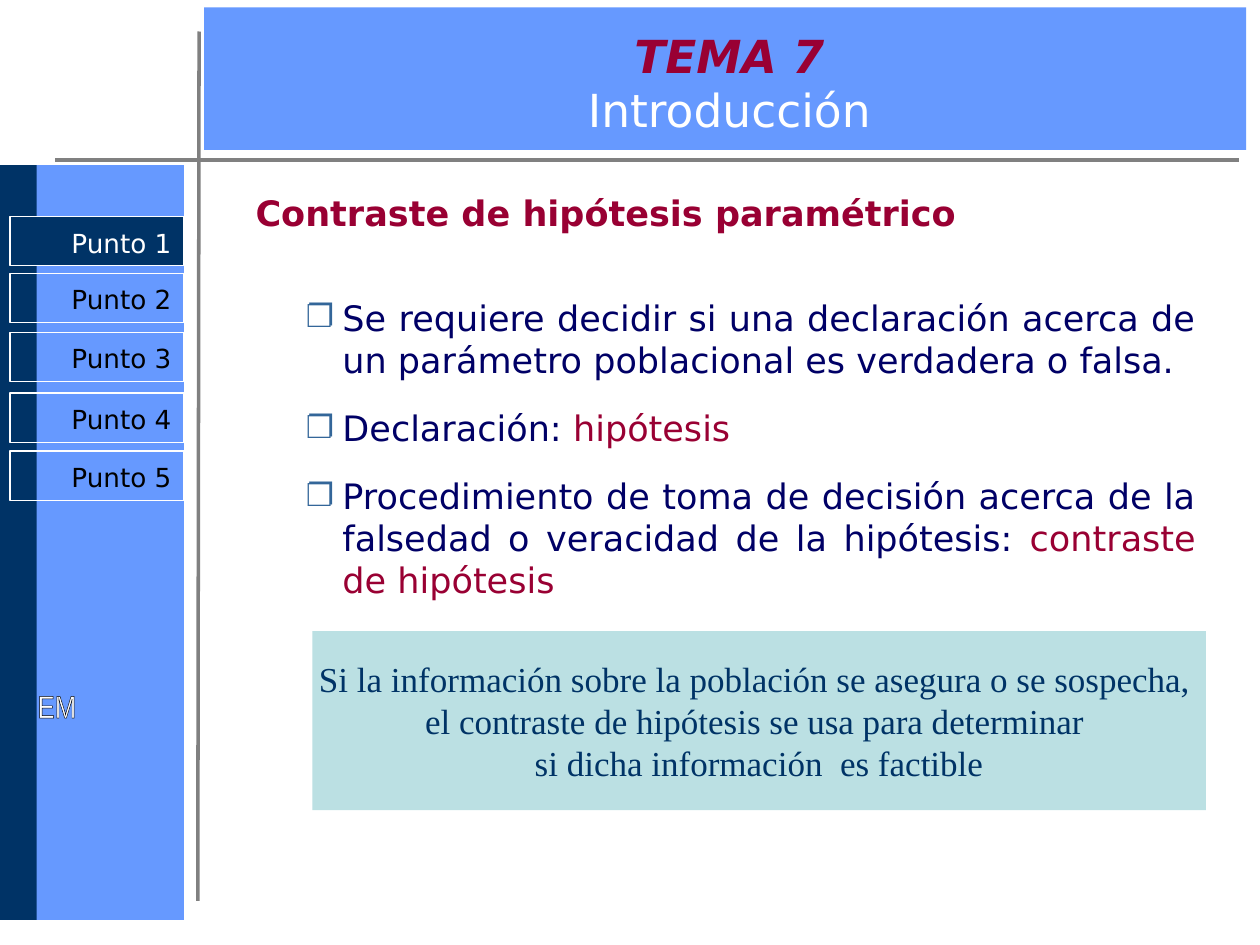
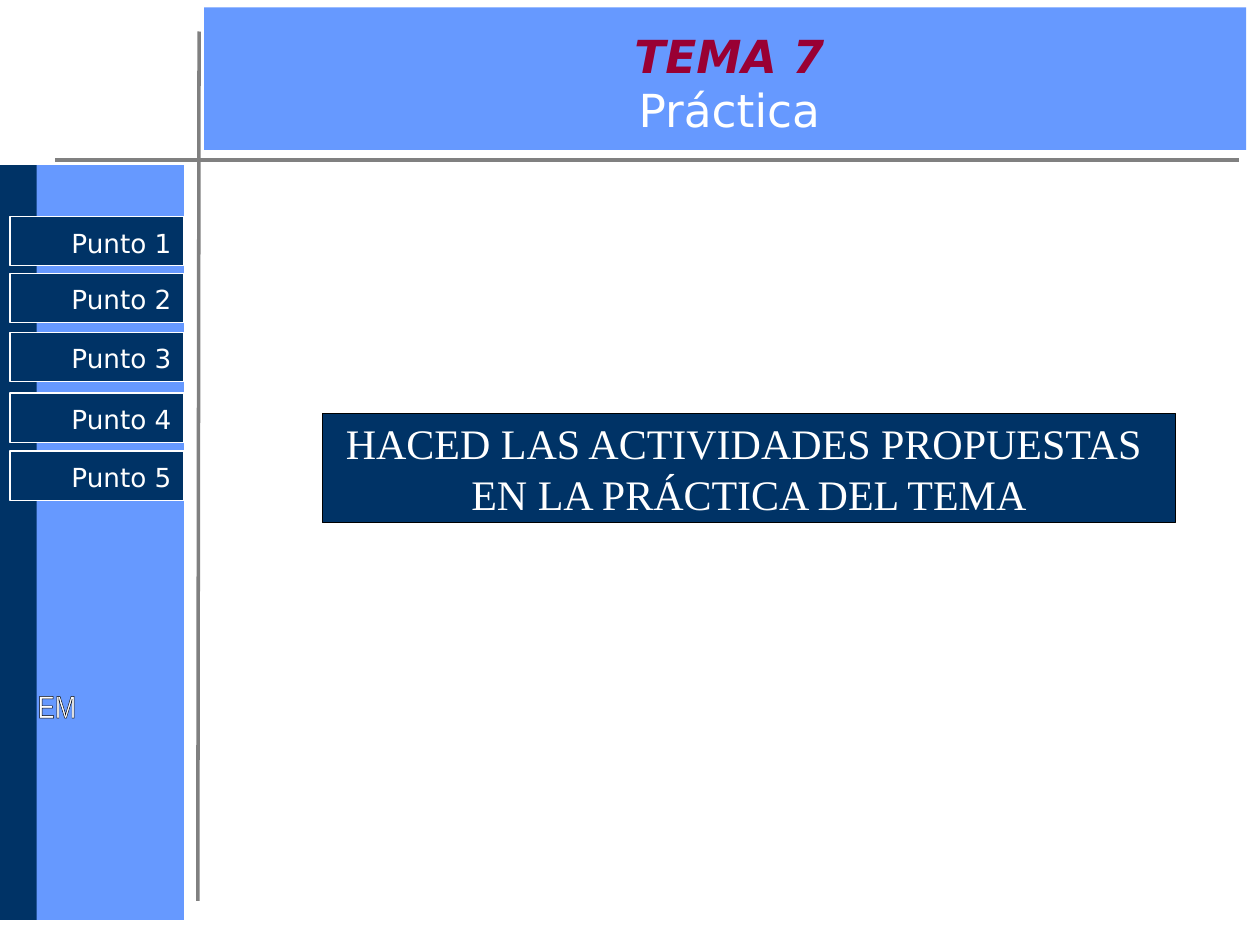
from lxml import etree
from pptx import Presentation
from pptx.dml.color import RGBColor
from pptx.enum.shapes import MSO_CONNECTOR as Connector, MSO_SHAPE as Preset
from pptx.enum.text import MSO_ANCHOR as Anchor, PP_ALIGN as Align
from pptx.oxml import parse_xml
from pptx.oxml.ns import nsdecls, qn
from pptx.util import Inches, Pt

color = RGBColor.from_string
NAVY, BLUE, TEAL, GRAY = "003366", "6699FF", "BBE0E3", "808080"
CRIMSON, INK, WHITE, BLACK = "990033", "000066", "FFFFFF", "000000"
SANS, SERIF = "DejaVu Sans", "Times New Roman"


def add_rectangle(slide, place, fill=None, line=None):
    shape = slide.shapes.add_shape(Preset.RECTANGLE, *map(Inches, place))
    shape.shadow.inherit = False
    for part, value in ((shape.fill, fill), (shape.line.fill, line)):
        if value:
            part.solid()
            part.fore_color.rgb = color(value)
        else:
            part.background()
    if line:
        shape.line.width = Pt(0.75)
    return shape


def add_run(paragraph, text, hex_color, **font_format):
    run = paragraph.add_run()
    run.text = text
    run.font.color.rgb = color(hex_color)
    for name, value in font_format.items():
        setattr(run.font, name, value)
    return run


presentation = Presentation()
presentation.slide_width, presentation.slide_height = Inches(10), Inches(7.5)

bands = [
    ((0.27, 1.31, 1.19, 5.99), BLUE),
    ((0, 1.31, 0.29, 5.99), NAVY),
    ((1.62, 0.06, 8.27, 1.13), BLUE),
]
rules = [(0.44, 1.27, 9.83, 1.27), (1.57, 7.15, 1.58, 0.25)]
point_tops = [1.72, 2.17, 2.64, 3.12, 3.58]
topics = [("Introducción", {1}), ("Práctica", {1, 2, 3, 4, 5})]

for topic, active_points in topics:
    slide = presentation.slides.add_slide(presentation.slide_layouts[6])
    for place, fill in bands:
        add_rectangle(slide, place, fill)
    for ends in rules:
        rule = slide.shapes.add_connector(Connector.STRAIGHT, *map(Inches, ends))
        rule.line.color.rgb = color(GRAY)
        rule.line.width = Pt(2)
        etree.SubElement(rule._element.spPr, qn("a:effectLst"))

    initials = slide.shapes.add_textbox(*map(Inches, (0.2, 5.4, 1.83, 1.82)))
    initials.text_frame.word_wrap = False
    run = add_run(initials.text_frame.paragraphs[0], "EM", WHITE,
                  name="Arial Narrow", size=Pt(18))
    run.font.fill.gradient()
    properties = run._r.get_or_add_rPr()
    properties.replace(properties.find(qn("a:gradFill")), parse_xml(
        f'<a:gradFill {nsdecls("a")}><a:gsLst>'
        '<a:gs pos="0"><a:srgbClr val="707070"/></a:gs>'
        '<a:gs pos="50000"><a:srgbClr val="FFFFFF"/></a:gs>'
        '<a:gs pos="100000"><a:srgbClr val="707070"/></a:gs>'
        '</a:gsLst><a:lin ang="2700000" scaled="1"/></a:gradFill>'))
    properties.insert(0, parse_xml(
        f'<a:ln {nsdecls("a")} w="9525"><a:solidFill>'
        f'<a:srgbClr val="{BLACK}"/></a:solidFill></a:ln>'))

    title = slide.shapes.add_textbox(*map(Inches, (1.71, 0.27, 8.16, 0.77)))
    title.text_frame.word_wrap = True
    title.text_frame.vertical_anchor = Anchor.MIDDLE
    paragraph = title.text_frame.paragraphs[0]
    paragraph.alignment = Align.CENTER
    add_run(paragraph, "TEMA 7", CRIMSON, name=SANS, size=Pt(26), bold=True, italic=True)
    paragraph.add_line_break()
    add_run(paragraph, topic, WHITE, name=SANS, size=Pt(26))

    for number, top in enumerate(point_tops, 1):
        active = number in active_points
        point = add_rectangle(slide, (0.08, top, 1.38, 0.39), NAVY if active else None, WHITE)
        point.text_frame.vertical_anchor = Anchor.TOP
        point.text_frame.margin_top = Inches(0.08)
        paragraph = point.text_frame.paragraphs[0]
        paragraph.alignment = Align.RIGHT
        add_run(paragraph, f"Punto {number}", WHITE if active else BLACK,
                name=SANS, size=Pt(15))

introduction, practice = presentation.slides

body = introduction.shapes.add_textbox(*map(Inches, (1.93, 1.47, 7.66, 5.54)))
body.text_frame.word_wrap = True
heading = body.text_frame.paragraphs[0]
heading.alignment = Align.JUSTIFY
heading.space_after = Pt(28.3)
add_run(heading, "Contraste de hipótesis paramétrico", CRIMSON,
        name=SANS, size=Pt(20), bold=True)

bullets = [
    [("Se requiere decidir si una declaración acerca de un parámetro poblacional "
      "es verdadera o falsa.", INK)],
    [("Declaración: ", INK), ("hipótesis", CRIMSON)],
    [("Procedimiento de toma de decisión acerca de la falsedad o veracidad "
      "de la hipótesis: ", INK), ("contraste de hipótesis", CRIMSON)],
]
bullet_format = {"level": 1, "alignment": Align.JUSTIFY,
                 "space_before": Pt(7.5), "space_after": Pt(7.5)}
for runs in bullets:
    paragraph = body.text_frame.add_paragraph()
    properties = paragraph._p.get_or_add_pPr()
    properties.set("marL", str(Inches(0.69)))
    properties.set("indent", str(Inches(-0.29)))
    bullet_color = etree.SubElement(properties, qn("a:buClr"))
    etree.SubElement(bullet_color, qn("a:srgbClr"), val="336699")
    etree.SubElement(properties, qn("a:buSzPct"), val="90000")
    etree.SubElement(properties, qn("a:buFont"), typeface=SANS)
    etree.SubElement(properties, qn("a:buChar"), char="❐")
    for name, value in bullet_format.items():
        setattr(paragraph, name, value)
    for text, hex_color in runs:
        add_run(paragraph, text, hex_color, name=SANS, size=Pt(20))

callouts = [
    (introduction, (2.48, 5.01, 7.09, 1.42), TEAL, None, NAVY, 20,
     ["Si la información sobre la población se asegura o se sospecha, ",
      "el contraste de hipótesis se usa para determinar ",
      "si dicha información  es factible"]),
    (practice, (2.56, 3.28, 6.77, 0.87), NAVY, BLACK, WHITE, 24,
     ["HACED LAS ACTIVIDADES PROPUESTAS ", "EN LA PRÁCTICA DEL TEMA"]),
]
for slide, place, fill, line, text_color, size, lines in callouts:
    frame = add_rectangle(slide, place, fill, line).text_frame
    frame.word_wrap = False
    frame.vertical_anchor = Anchor.MIDDLE
    for index, text in enumerate(lines):
        paragraph = frame.add_paragraph() if index else frame.paragraphs[0]
        paragraph.alignment = Align.CENTER
        add_run(paragraph, text, text_color, name=SERIF, size=Pt(size))

presentation.save("out.pptx")
